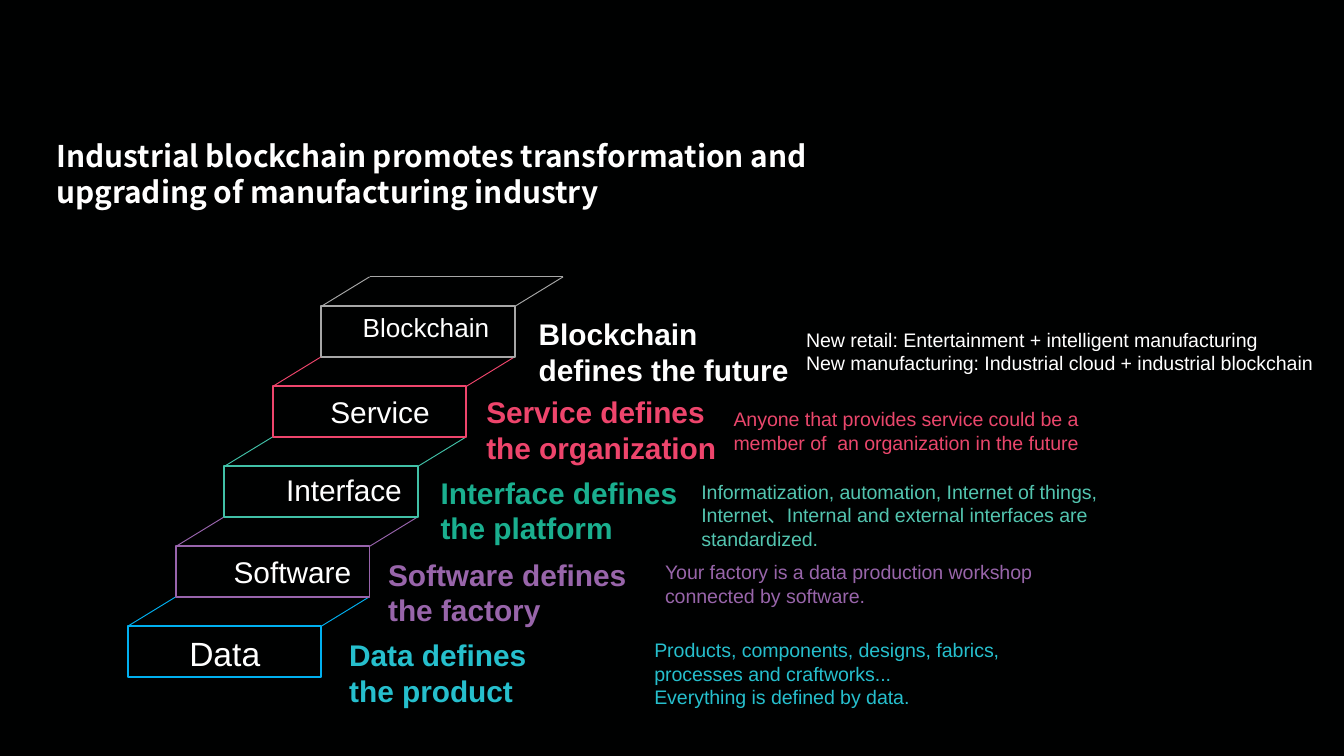
from pptx import Presentation
from pptx.dml.color import RGBColor
from pptx.enum.shapes import MSO_CONNECTOR, MSO_SHAPE
from pptx.enum.text import MSO_ANCHOR
from pptx.oxml.ns import qn
from pptx.util import Inches, Pt
from lxml import etree

COLORS = {
    "background": "000101",
    "white": "FFFFFF",
    "cyan": "26BFCD",
    "purple": "9865AA",
    "green": "1AAF8F",
    "mint": "53C5B0",
    "pink": "EE456C",
    "rose": "EA476C",
    "data edge": "00B0F0",
    "software edge": "9864AC",
    "interface edge": "41C0A7",
    "blockchain edge": "A7A7A7",
}

STEP_WIDTH, STEP_HEIGHT = 1.44, 0.38
STEP_RUN, STEP_RISE = 0.36, 0.595
DEPTH_RISE = 0.22
FIRST_LEFT, FIRST_TOP = 0.95, 4.66

STEPS = [
    ("data edge",
     ("Data", 1.31, 4.66, 18),
     ("Data defines the product", 2.5, 4.69, 1.59, "cyan"),
     ("Products, components, designs, fabrics, processes and craftworks...\n"
      "Everything is defined by data.", 4.77, 4.7, 3.14, "cyan")),
    ("software edge",
     ("Software", 1.64, 4.07, 16),
     ("Software defines the factory", 2.79, 4.09, 2.06, "purple"),
     ("Your factory is a data production workshop connected by software.",
      4.85, 4.12, 3.14, "purple")),
    ("interface edge",
     ("Interface", 2.03, 3.46, 16),
     ("Interface defines the platform", 3.18, 3.48, 2.02, "green"),
     ("Informatization, automation, Internet of things, "
      "Internet、Internal and external interfaces are standardized.",
      5.12, 3.52, 3.74, "mint")),
    ("pink",
     ("Service", 2.36, 2.88, 16),
     ("Service defines the organization", 3.52, 2.88, 1.97, "pink"),
     ("Anyone that provides service could be a member of  an organization "
      "in the future", 5.36, 2.98, 3.14, "rose")),
    ("blockchain edge",
     ("Blockchain", 2.6, 2.27, 14),
     ("Blockchain defines the future", 3.91, 2.3, 2.13, "white"),
     ("New retail: Entertainment + intelligent manufacturing\n"
      "New manufacturing: Industrial cloud + industrial blockchain",
      5.9, 2.39, 4.04, "white")),
]


def rgb(color):
    return RGBColor.from_string(COLORS[color])


def add_text(slide, text, left, top, width, height, size, color,
             bold=False, font="Arial"):
    box = slide.shapes.add_textbox(
        Inches(left), Inches(top), Inches(width), Inches(height))
    frame = box.text_frame
    frame.word_wrap = True
    frame.text = text
    for paragraph in frame.paragraphs:
        for run in paragraph.runs:
            run.font.name = font
            run.font.size = Pt(size)
            run.font.bold = bold
            run.font.color.rgb = rgb(color)
    return frame


def add_title(slide):
    title = add_text(
        slide,
        "Industrial blockchain promotes transformation and\n"
        "upgrading of manufacturing industry",
        0.39, 1.03, 8.62, 0.53, 16, "white", True, "Noto Sans CJK SC")
    title.vertical_anchor = MSO_ANCHOR.MIDDLE
    title.margin_left = title.margin_right = Inches(0.03)


def add_edge(group, start, end, color):
    edge = group.shapes.add_connector(
        MSO_CONNECTOR.STRAIGHT, *map(Inches, start + end))
    edge.line.color.rgb = rgb(color)
    edge.line.width = Pt(0.5)
    properties = edge._element.find(qn("p:spPr"))
    etree.SubElement(properties, qn("a:effectLst"))


def add_step(slide, index, color):
    left = FIRST_LEFT + index * STEP_RUN
    top = FIRST_TOP - index * STEP_RISE
    right = left + STEP_WIDTH
    group = slide.shapes.add_group_shape()

    front = group.shapes.add_shape(
        MSO_SHAPE.RECTANGLE, Inches(left), Inches(top),
        Inches(STEP_WIDTH), Inches(STEP_HEIGHT))
    front.shadow.inherit = False
    front.fill.background()
    front.line.color.rgb = rgb(color)
    front.line.width = Pt(1)

    back_left = (left + STEP_RUN, top - DEPTH_RISE)
    back_right = (right + STEP_RUN, top - DEPTH_RISE)
    add_edge(group, back_left, back_right, color)
    add_edge(group, back_right, (right, top), color)
    add_edge(group, back_left, (left, top), color)


def add_step_texts(slide, label, claim, detail):
    name, left, top, size = label
    add_text(slide, name, left, top, 1.15, 0.37, size, "white")
    text, left, top, width, color = claim
    add_text(slide, text, left, top, width, 0.64, 16, color, True)
    text, left, top, width, color = detail
    add_text(slide, text, left, top, width, 0.45, 10.5, color)


def main():
    presentation = Presentation()
    presentation.slide_width = Inches(10)
    presentation.slide_height = Inches(10 * 9 / 16)
    slide = presentation.slides.add_slide(presentation.slide_layouts[6])
    slide.background.fill.solid()
    slide.background.fill.fore_color.rgb = rgb("background")

    add_title(slide)
    for index, (edge_color, *_) in enumerate(STEPS):
        add_step(slide, index, edge_color)
    for _, label, claim, detail in STEPS:
        add_step_texts(slide, label, claim, detail)
    presentation.save("out.pptx")


if __name__ == "__main__":
    main()
